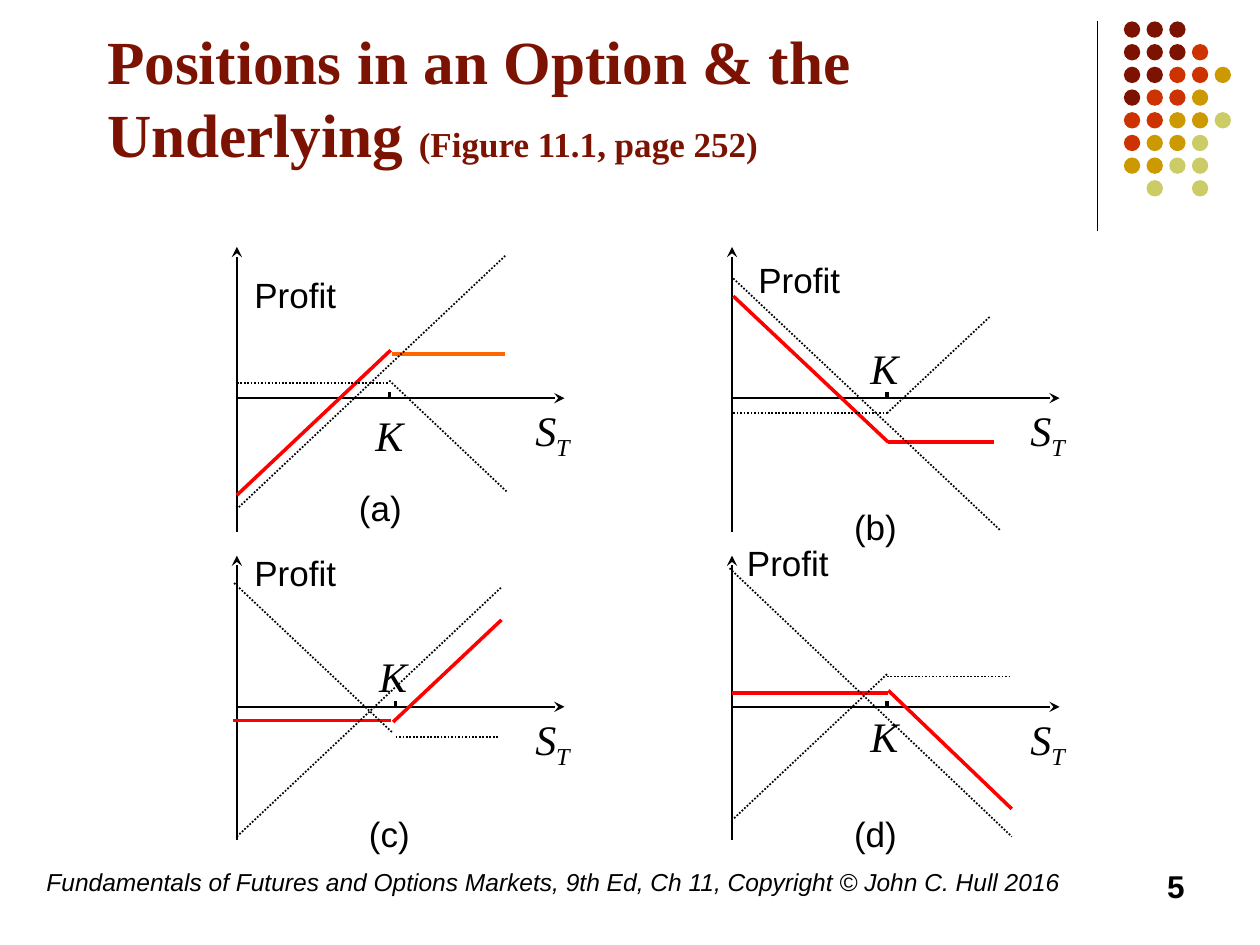
from dataclasses import dataclass

from pptx import Presentation
from pptx.dml.color import RGBColor as Rgb
from pptx.enum.dml import MSO_LINE as Dash
from pptx.enum.shapes import MSO_CONNECTOR as Conn, MSO_SHAPE as Form
from pptx.enum.text import MSO_ANCHOR as Anchor, MSO_AUTO_SIZE as Fit, PP_ALIGN as Align
from pptx.oxml.ns import qn
from pptx.oxml.xmlchemy import OxmlElement as Elem
from pptx.slide import Slide
from pptx.text.text import Font
from pptx.util import Inches, Pt

Point = tuple[float, float]
Seg = tuple[Point, Point]


@dataclass(frozen=True)
class Theme:
    sans: str = "Arial"
    serif: str = "Times New Roman"
    ink: str = "000000"
    head: str = "7C1302"
    red: str = "FF0000"
    orange: str = "FF6600"
    dots: tuple[str, ...] = ("7C1302", "CC3300", "CC9900", "CCCC66")
    title: int = 35
    sub: int = 20
    label: int = 20
    math: int = 24
    foot: int = 14
    page: int = 18
    thin: float = 0.75
    fine: float = 1
    bold: float = 2


@dataclass(frozen=True)
class Panel:
    name: str
    left: float
    mid: float
    profit: Point
    strike: Point
    mark: Point
    tick: float
    payoff: tuple[Seg, Seg]
    legs: tuple[Seg, Seg, Seg]
    tint: str = Theme.red


THEME = Theme()
COLS = (1.88, 5.81)
ROWS = (3.16, 5.61)
PANELS = (
    Panel("(a)", COLS[0], ROWS[0], (1.92, 2.12), (2.88, 3.2), (2.75, 3.81), 3.09,
          (((1.88, 3.93), (3.1, 2.78)), ((3.11, 2.81), (4.01, 2.81))),
          (((1.88, 3.04), (3.09, 3.04)), ((3.09, 3.02), (4.02, 3.9)),
           ((4.01, 2.03), (1.88, 4.04))), THEME.orange),
    Panel("(b)", COLS[1], ROWS[0], (5.92, 2), (6.81, 2.67), (6.68, 3.96), 7.04,
          (((7.05, 3.51), (5.82, 2.35)), ((7.05, 3.51), (7.89, 3.51))),
          (((5.82, 3.28), (7.04, 3.28)), ((7.04, 3.28), (7.86, 2.51)),
           ((5.82, 2.21), (7.94, 4.21)))),
    Panel("(c)", COLS[0], ROWS[1], (1.92, 4.33), (2.91, 5.11), (2.83, 6.4), 3.14,
          (((1.85, 5.72), (3.1, 5.72)), ((3.12, 5.73), (3.98, 4.92))),
          (((3.11, 5.81), (1.85, 4.62)), ((3.14, 5.85), (3.95, 5.85)),
           ((1.88, 6.64), (3.98, 4.66)))),
    Panel("(d)", COLS[1], ROWS[1], (5.83, 4.25), (6.81, 5.59), (6.68, 6.4), 7.04,
          (((5.81, 5.5), (7.05, 5.5)), ((8.03, 6.42), (7.05, 5.48))),
          (((5.79, 4.51), (8.03, 6.64)), ((7.04, 5.37), (8.01, 5.37)),
           ((7.04, 5.35), (5.82, 6.5)))),
)
DOTS = ("000", "0001", "00112", "0112", "11223", "1223", "2233", " 3 3")


def style(font: Font, face: str, size: float, tint: str = THEME.ink,
          bold: bool = False, slant: bool = False) -> None:
    font.name, font.size = face, Pt(size)
    font.bold, font.italic = bold, slant
    font.color.rgb = Rgb.from_string(tint)


def line(slide: Slide, seg: Seg, width: float, tint: str = THEME.ink,
         dotted: bool = False, end: str = "") -> None:
    (x1, y1), (x2, y2) = seg
    item = slide.shapes.add_connector(
        Conn.STRAIGHT, Inches(x1), Inches(y1), Inches(x2), Inches(y2))
    item.line.width = Pt(width)
    item.line.color.rgb = Rgb.from_string(tint)
    if dotted:
        item.line.dash_style = Dash.ROUND_DOT
    if end:
        tip = Elem(f"a:{end}")
        tip.set("type", "stealth")
        item._element.spPr.find(qn("a:ln")).append(tip)
    item._element.spPr.append(Elem("a:effectLst"))


def label(slide: Slide, text: str, spot: Point, size: Point, face: str, pts: float,
          bold: bool = False, slant: bool = False, low: str = "",
          align: Align = Align.LEFT) -> None:
    box = slide.shapes.add_textbox(*map(Inches, spot + size))
    box.text_frame.word_wrap = True
    para = box.text_frame.paragraphs[0]
    para.alignment = align
    style(para.font, face, pts, bold=bold, slant=slant)
    para.add_run().text = text
    if low:
        run = para.add_run()
        run.text = low
        run._r.get_or_add_rPr().set("baseline", "-25000")


def motif(slide: Slide) -> None:
    line(slide, ((8.71, 0.17), (8.71, 1.83)), THEME.thin)
    step, size = 0.18, 0.13
    for row, keys in enumerate(DOTS):
        for col, key in enumerate(keys):
            if key == " ":
                continue
            dot = slide.shapes.add_shape(
                Form.OVAL, Inches(8.92 + col * step), Inches(0.17 + row * step),
                Inches(size), Inches(size))
            dot.shadow.inherit = False
            dot.fill.solid()
            dot.fill.fore_color.rgb = Rgb.from_string(THEME.dots[int(key)])
            dot.line.fill.background()


def heading(slide: Slide) -> None:
    box = slide.shapes.title
    box.left, box.top, box.width, box.height = map(Inches, (0.75, 0.14, 8.5, 1.25))
    frame = box.text_frame
    frame.word_wrap, frame.auto_size = True, Fit.NONE
    frame.vertical_anchor = Anchor.MIDDLE
    para = frame.paragraphs[0]
    para.alignment = Align.LEFT
    style(para.font, THEME.serif, THEME.title, THEME.head, bold=True)
    para.add_run().text = "Positions in an Option & the Underlying "
    note = para.add_run()
    note.text = "(Figure 11.1, page 252)"
    note.font.size = Pt(THEME.sub)


def chart(slide: Slide, panel: Panel) -> None:
    left, mid, tick = panel.left, panel.mid, panel.tick
    line(slide, ((left, mid - 1.2), (left, mid + 1.06)), THEME.fine, end="headEnd")
    line(slide, ((left, mid), (left + 2.6, mid)), THEME.fine, end="tailEnd")
    label(slide, "Profit", panel.profit, (1.17, 0.43), THEME.sans, THEME.label)
    label(slide, "S", (left + 2.27, mid), (0.56, 0.5), THEME.serif, THEME.math,
          slant=True, low="T")
    label(slide, "K", panel.strike, (0.42, 0.5), THEME.serif, THEME.math, slant=True)
    for seg, tint in zip(panel.payoff, (THEME.red, panel.tint)):
        line(slide, seg, THEME.bold, tint)
    line(slide, ((tick, mid), (tick, mid - 0.05)), THEME.bold)
    for seg in panel.legs:
        line(slide, seg, THEME.fine, dotted=True)
    label(slide, panel.name, panel.mark, (0.59, 0.43), THEME.sans, THEME.label)


def main() -> None:
    deck = Presentation()
    deck.slide_width, deck.slide_height = Inches(10), Inches(7.5)
    slide = deck.slides.add_slide(deck.slide_layouts[5])
    motif(slide)
    heading(slide)
    for panel in PANELS:
        chart(slide, panel)
    label(slide, "Fundamentals of Futures and Options Markets, 9th Ed, Ch 11, "
          "Copyright © John C. Hull 2016", (0.27, 6.83), (8.27, 0.5),
          THEME.sans, THEME.foot, slant=True)
    label(slide, "5", (7.17, 6.83), (2.33, 0.5), THEME.sans, THEME.page,
          bold=True, align=Align.RIGHT)
    deck.save("out.pptx")


if __name__ == "__main__":
    main()
